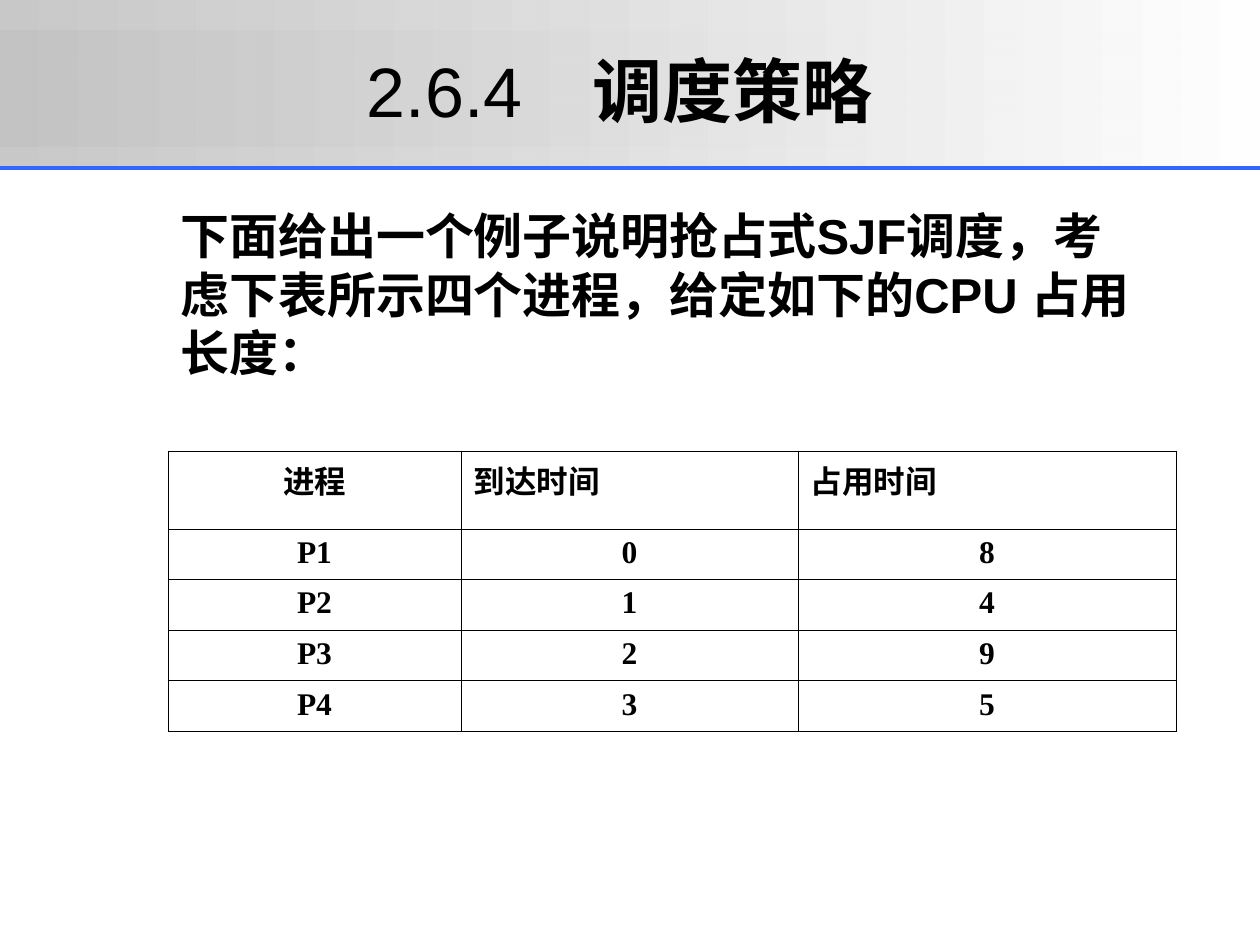
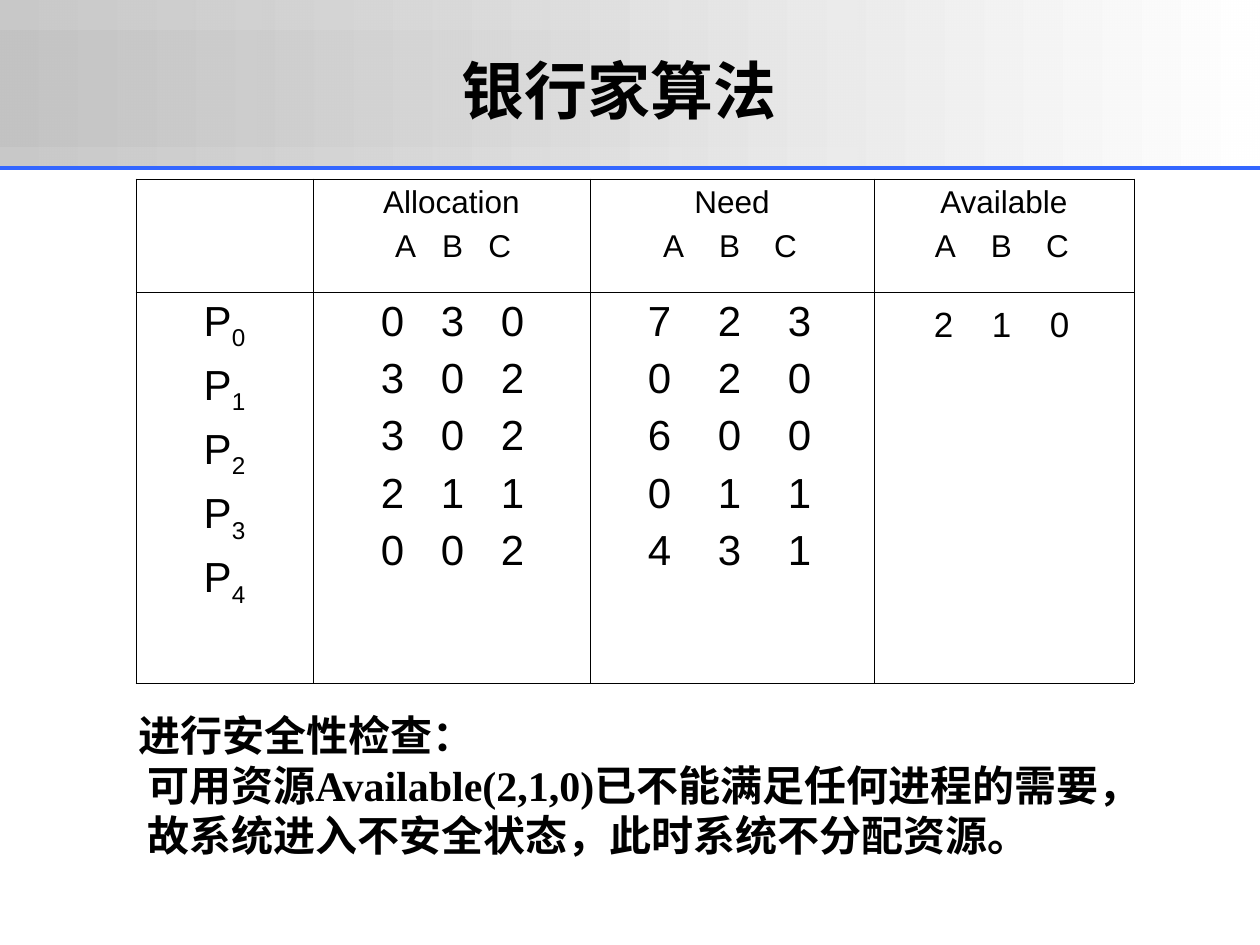
from lxml import etree
from pptx import Presentation
from pptx.dml.color import RGBColor
from pptx.enum.shapes import MSO_CONNECTOR, MSO_SHAPE
from pptx.enum.text import MSO_ANCHOR, MSO_AUTO_SIZE, PP_ALIGN
from pptx.oxml.ns import qn
from pptx.util import Pt

PX = 7257  # EMU per px, 126 px to the inch
WIDTH, HEIGHT = 1260, 945
COLORS = {"ink": "000000", "silver": "C0C0C0", "white": "FFFFFF", "rule": "3366FF"}
SANS, SERIF = "Arial", "Times New Roman"
CENTER, LEFT = PP_ALIGN.CENTER, PP_ALIGN.LEFT
MIDDLE = MSO_ANCHOR.MIDDLE
NO_FIT = MSO_AUTO_SIZE.NONE
RECTANGLE, STRAIGHT = MSO_SHAPE.RECTANGLE, MSO_CONNECTOR.STRAIGHT


def add_span(para, text, size, font=SANS, bold=False):
    span = para.add_run()
    span.text = text
    span.font.size = Pt(size)
    span.font.name = font
    span.font.bold = bold
    span.font.color.rgb = RGBColor.from_string(COLORS["ink"])
    return span


def add_grid(page, left, top, widths, heights):
    """Add an unfilled table with thin black borders."""
    table = page.shapes.add_table(
        len(heights), len(widths), left * PX, top * PX,
        sum(widths) * PX, sum(heights) * PX).table
    table.first_row = table.horz_banding = False
    for column, width in zip(table.columns, widths):
        column.width = width * PX
    for row, height in zip(table.rows, heights):
        row.height = height * PX
    for cell in table.iter_cells():
        cell.fill.background()
        props = cell._tc.get_or_add_tcPr()
        for index, side in enumerate(("lnL", "lnR", "lnT", "lnB")):
            border = etree.Element(qn(f"a:{side}"), w=str(Pt(0.45)))
            fill = etree.SubElement(border, qn("a:solidFill"))
            etree.SubElement(fill, qn("a:srgbClr"), val=COLORS["ink"])
            props.insert(index, border)
    return table


deck = Presentation()
deck.slide_width, deck.slide_height = WIDTH * PX, HEIGHT * PX
layout = deck.slide_layouts[5]
schedule_page = deck.slides.add_slide(layout)
banker_page = deck.slides.add_slide(layout)

# Shared header: two fading bands and a rule, moved into the layout
header = []
for top, height, opacity in ((0, 168, 86), (31, 116, 59)):
    band = schedule_page.shapes.add_shape(RECTANGLE, 0, top * PX, WIDTH * PX, height * PX)
    band.shadow.inherit = False
    band.line.fill.background()
    band.fill.gradient()
    band.fill.gradient_angle = 0
    for stop, name in zip(band.fill.gradient_stops, ("silver", "white")):
        stop.color.rgb = RGBColor.from_string(COLORS[name])
    silver = band.element.spPr.find(".//" + qn("a:srgbClr"))
    etree.SubElement(silver, qn("a:alpha"), val=str(opacity * 1000))
    header.append(band)
rule = schedule_page.shapes.add_connector(STRAIGHT, 0, 168 * PX, WIDTH * PX, 168 * PX)
rule.line.color.rgb = RGBColor.from_string(COLORS["rule"])
rule.line.width = Pt(2.25)
etree.SubElement(rule.element.spPr, qn("a:effectLst"))
header.append(rule)
for index, part in enumerate(header, start=2):
    layout.shapes.element.insert(index, part.element)

# Titles
titles = (
    (schedule_page, 40, (("2.6.4　", False), ("调度策略", True))),
    (banker_page, 36, (("银行家算法", True),)),
)
for page, size, spans in titles:
    title = page.shapes.title
    title.left, title.top, title.width, title.height = (n * PX for n in (105, 10, 1029, 158))
    title.text_frame.auto_size = NO_FIT
    title.text_frame.vertical_anchor = MIDDLE
    para = title.text_frame.paragraphs[0]
    para.alignment = CENTER
    for text, bold in spans:
        add_span(para, text, size, bold=bold)

# Scheduling: introduction
intro = schedule_page.shapes.add_textbox(168 * PX, 199 * PX, 977 * PX, 189 * PX).text_frame
intro.word_wrap = True
intro.vertical_anchor = MIDDLE
add_span(intro.paragraphs[0],
         "下面给出一个例子说明抢占式SJF调度，考虑下表所示四个进程，给定如下的CPU 占用长度：",
         28, bold=True)

# Scheduling: process table
processes = (
    ("进程", "到达时间", "占用时间"),
    ("P1", "0", "8"),
    ("P2", "1", "4"),
    ("P3", "2", "9"),
    ("P4", "3", "5"),
)
process_table = add_grid(schedule_page, 168, 451, (293, 337, 378), (78, 50, 51, 50, 51))
for row, values in enumerate(processes):
    for column, value in enumerate(values):
        para = process_table.cell(row, column).text_frame.paragraphs[0]
        para.alignment = LEFT if row == 0 and column else CENTER
        add_span(para, value, 18, SERIF, bold=True)

# Banker's algorithm: resource table
banker_table = add_grid(banker_page, 136, 179, (177, 277, 284, 260), (113, 391))
process_frame = banker_table.cell(1, 0).text_frame
for number in range(5):
    para = process_frame.add_paragraph() if number else process_frame.paragraphs[0]
    para.alignment = CENTER
    if number:
        para.space_before = Pt(6)
    add_span(para, "P", 24)
    subscript = add_span(para, str(number), 24)
    subscript.font._element.set("baseline", "-25000")

# Name, middle tab stop, header tab step, value tab step, value size, rows
resources = (
    ("Allocation", 127, 47, 60, 24, ("030", "302", "302", "211", "002")),
    ("Need", 127, 56, 70, 24, ("723", "020", "600", "011", "431")),
    ("Available", 115, 56, 58, 20, ("210",)),
)
for column, (name, middle, head_step, step, size, rows) in enumerate(resources, start=1):
    head = banker_table.cell(0, column).text_frame
    head.paragraphs[0].alignment = CENTER
    add_span(head.paragraphs[0], name, 18)
    letters = head.add_paragraph()
    letters.space_before = Pt(4.5)
    lines = [(letters, "ABC", head_step, 18)]

    body = banker_table.cell(1, column).text_frame
    for index, values in enumerate(rows):
        para = body.add_paragraph() if index else body.paragraphs[0]
        if index:
            para.space_before = Pt(6)
        if name == "Available":
            para.line_spacing = 1.2
        lines.append((para, values, step, size))

    for para, values, gap, points in lines:
        para.alignment = LEFT
        tabs = etree.SubElement(para._p.get_or_add_pPr(), qn("a:tabLst"))
        for stop in (middle - gap, middle, middle + gap):
            etree.SubElement(tabs, qn("a:tab"), pos=str(stop * PX), algn="ctr")
        add_span(para, "".join("\t" + value for value in values), points)

# Banker's algorithm: safety check
check = banker_page.shapes.add_textbox(126 * PX, 703 * PX, 1061 * PX, 164 * PX).text_frame
check.word_wrap = True
check_lines = (
    ("进行安全性检查：", 0),
    ("可用资源Available(2,1,0)已不能满足任何进程的需要，", 9),
    ("故系统进入不安全状态，此时系统不分配资源。", 9),
)
for index, (text, indent) in enumerate(check_lines):
    para = check.add_paragraph() if index else check.paragraphs[0]
    para._p.get_or_add_pPr().set("marL", str(indent * PX))
    add_span(para, text, 24, SERIF, bold=True)

deck.save("out.pptx")
